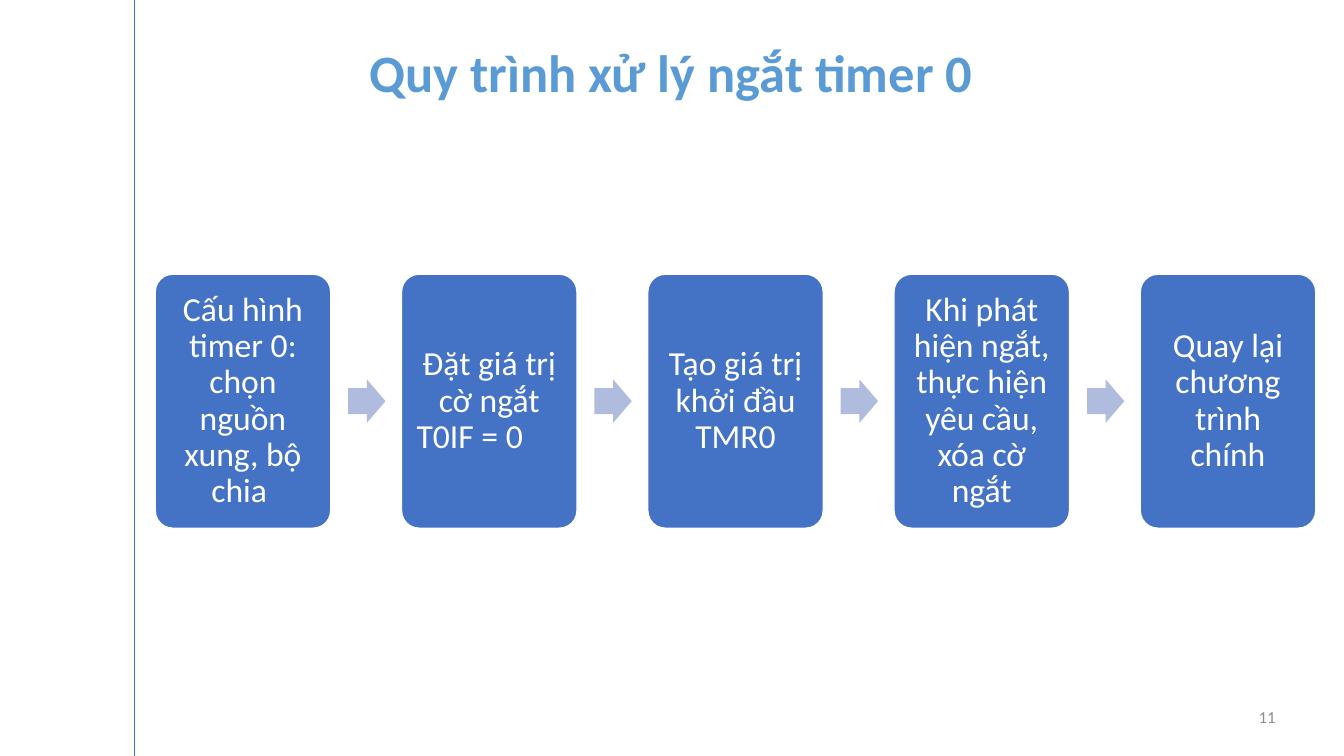
from dataclasses import dataclass

from lxml.etree import SubElement
from pptx import Presentation
from pptx.dml.color import RGBColor
from pptx.enum.shapes import MSO_CONNECTOR, MSO_SHAPE
from pptx.enum.text import MSO_ANCHOR as ANCHOR, PP_ALIGN as ALIGN
from pptx.oxml.ns import qn
from pptx.util import Inches, Pt

BLUE = RGBColor(0x44, 0x72, 0xC4)
TITLE_BLUE = RGBColor(0x5B, 0x9B, 0xD5)
ARROW_BLUE = RGBColor(0xB0, 0xBC, 0xDE)
GRAY = RGBColor(0x8C, 0x8C, 0x8C)
WHITE = RGBColor(0xFF, 0xFF, 0xFF)
FONT = "Calibri"

SLIDE_W, SLIDE_H = 13.33, 7.5
MARGIN_X = SLIDE_W / 10

# Process grid: equal columns between the two edges
STEPS = (
    "Cấu hình timer 0: chọn nguồn xung, bộ chia ",
    "Đặt giá trị cờ ngắt T0IF = 0\t",
    "Tạo giá trị khởi đầu TMR0",
    "Khi phát hiện ngắt, thực hiện yêu cầu, xóa cờ ngắt",
    "Quay lại chương trình chính",
)
FLOW_LEFT, FLOW_RIGHT, FLOW_MID = 1.54, 13.05, 3.98
STEP_W, STEP_H = 1.74, 2.52
PITCH = (FLOW_RIGHT - FLOW_LEFT - STEP_W) / (len(STEPS) - 1)
ARROW_W, ARROW_H = 0.37, 0.43
ARROW_GAP = STEP_W / 10


@dataclass(frozen=True)
class Box:
    left: float
    top: float
    width: float
    height: float

    def emu(self) -> tuple:
        return tuple(Inches(v) for v in (self.left, self.top, self.width, self.height))


@dataclass(frozen=True)
class TextStyle:
    size: float
    color: RGBColor
    align: ALIGN
    anchor: ANCHOR
    spacing: float = 1.0
    bold: bool = False


TITLE = TextStyle(37.5, TITLE_BLUE, ALIGN.CENTER, ANCHOR.BOTTOM, 0.7, True)
NUMBER = TextStyle(12, GRAY, ALIGN.RIGHT, ANCHOR.MIDDLE)
STEP = TextStyle(24, WHITE, ALIGN.CENTER, ANCHOR.MIDDLE, 0.9)


def write(sp, text: str, style: TextStyle) -> None:
    tf = sp.text_frame
    tf.word_wrap = True
    tf.vertical_anchor = style.anchor
    tf.text = text
    p = tf.paragraphs[0]
    p.alignment, p.line_spacing = style.align, style.spacing
    for r in p.runs:
        r.font.name, r.font.size, r.font.bold = FONT, Pt(style.size), style.bold
        r.font.color.rgb = style.color


def add_text(s, box: Box, text: str, style: TextStyle) -> None:
    write(s.shapes.add_textbox(*box.emu()), text, style)


def add_filled(s, kind: MSO_SHAPE, box: Box, fill: RGBColor, adjustments: tuple):
    sp = s.shapes.add_shape(kind, *box.emu())
    sp.shadow.inherit = False
    sp.fill.solid()
    sp.fill.fore_color.rgb = fill
    sp.line.fill.background()
    for i, value in enumerate(adjustments):
        sp.adjustments[i] = value
    return sp


def add_step(s, left: float, text: str) -> None:
    box = Box(left, FLOW_MID - STEP_H / 2, STEP_W, STEP_H)
    sp = add_filled(s, MSO_SHAPE.ROUNDED_RECTANGLE, box, BLUE, (0.1,))
    sp.line.color.rgb, sp.line.width = WHITE, Pt(1)
    tf = sp.text_frame
    tf.margin_left = tf.margin_right = tf.margin_top = tf.margin_bottom = Inches(0.1)
    write(sp, text, STEP)


def add_arrow(s, left: float) -> None:
    box = Box(left, FLOW_MID - ARROW_H / 2, ARROW_W, ARROW_H)
    add_filled(s, MSO_SHAPE.RIGHT_ARROW, box, ARROW_BLUE, (0.6, 0.5))


prs = Presentation()
prs.slide_width, prs.slide_height = Inches(SLIDE_W), Inches(SLIDE_H)
s = prs.slides.add_slide(prs.slide_layouts[6])

# Margin line
x = Inches(MARGIN_X)
margin = s.shapes.add_connector(MSO_CONNECTOR.STRAIGHT, x, 0, x, prs.slide_height)
margin.line.color.rgb, margin.line.width = BLUE, Pt(0.5)
SubElement(margin.element.spPr, qn("a:effectLst"))

# Title and slide number
add_text(s, Box(0.53, 0.46, 12.26, 0.59), "Quy trình xử lý ngắt timer 0", TITLE)
add_text(s, Box(12.31, 6.91, 0.44, 0.4), "11", NUMBER)

# Steps, with an arrow after each but the last
for i, text in enumerate(STEPS):
    left = FLOW_LEFT + i * PITCH
    add_step(s, left, text)
    if i < len(STEPS) - 1:
        add_arrow(s, left + STEP_W + ARROW_GAP)

prs.save("out.pptx")
